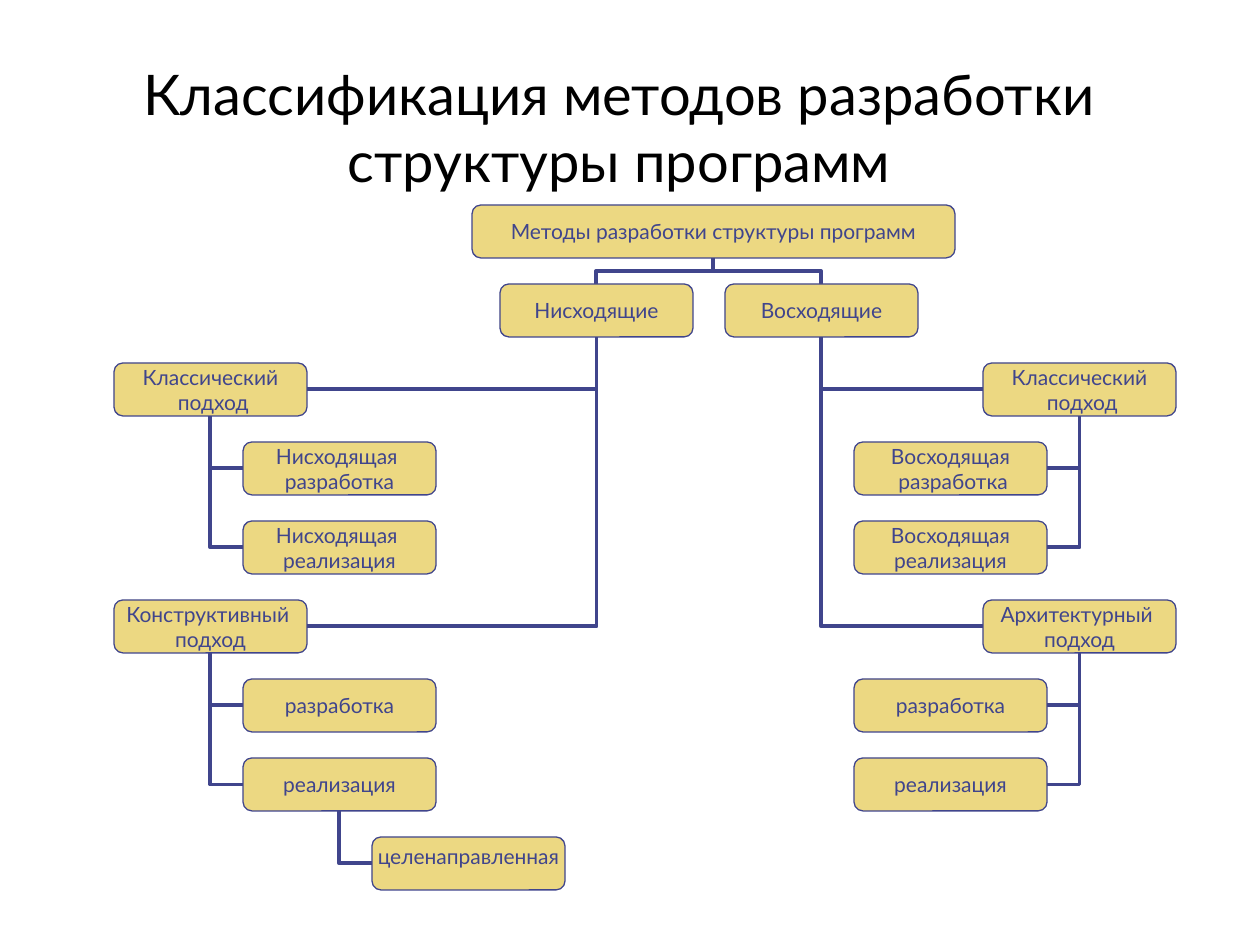
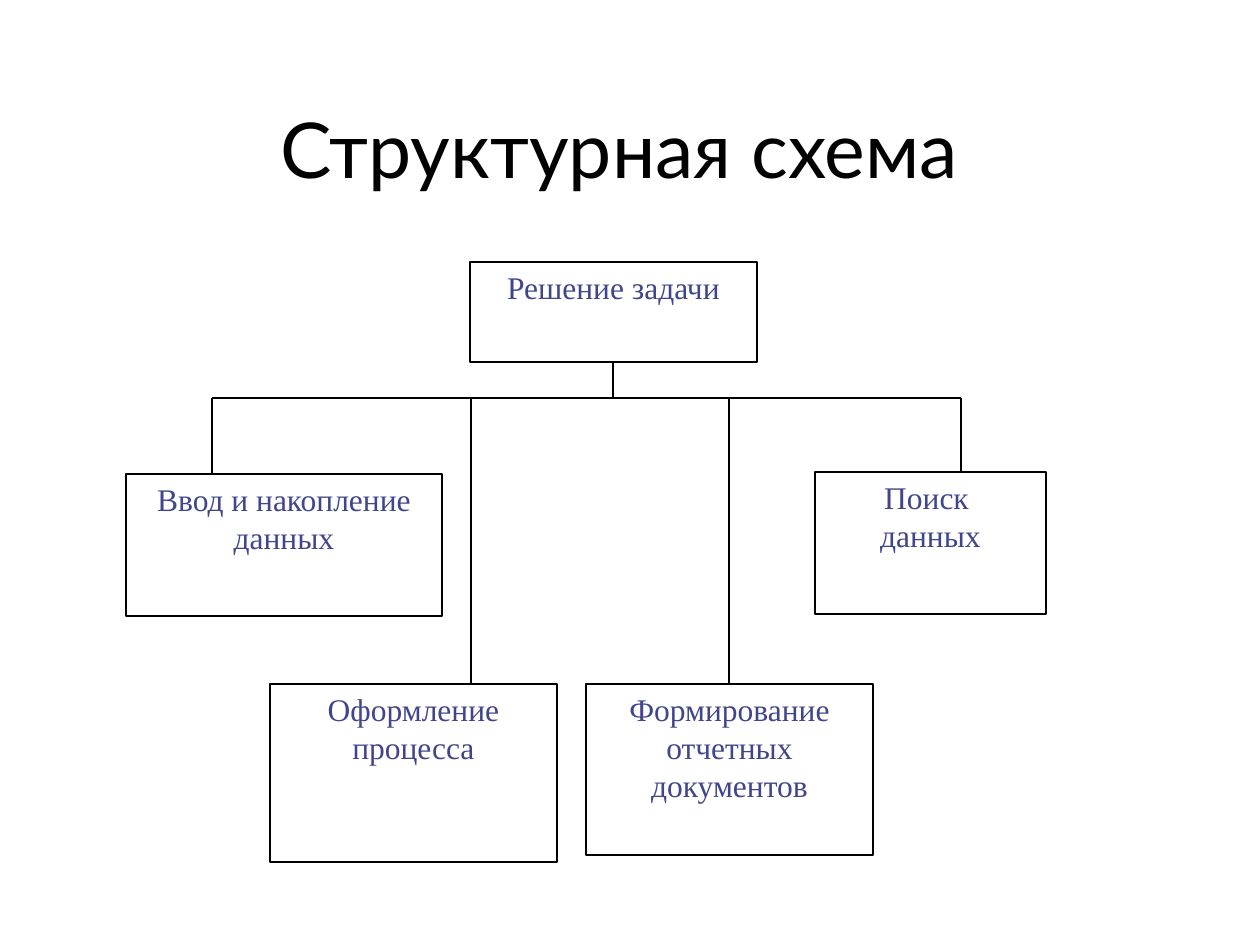
from dataclasses import dataclass

from lxml.etree import SubElement
from pptx import Presentation
from pptx.dml.color import RGBColor
from pptx.enum.shapes import MSO_CONNECTOR, MSO_SHAPE
from pptx.enum.text import MSO_ANCHOR, MSO_AUTO_SIZE, PP_ALIGN
from pptx.oxml.ns import qn
from pptx.util import Emu, Pt

EMU_PER_INCH = 914400
PX_PER_INCH = 126
TITLE_ONLY = 5
LEFT_SITE, BOTTOM_SITE, RIGHT_SITE = 1, 2, 3


@dataclass(frozen=True)
class Theme:
    black: str = "000000"
    white: str = "FFFFFF"
    indigo: str = "40458C"
    sand: str = "ECD882"
    sans: str = "Lato"
    serif: str = "Times New Roman"
    long_title: int = 32
    short_title: int = 44
    method_size: int = 12
    task_size: int = 18
    thin: float = 0.75
    thick: float = 2.25


@dataclass(frozen=True)
class Box:
    left: int
    top: int
    width: int
    height: int

    def inside(self, left, top, width, height):
        """Return a box given by its offset from this one."""
        return Box(self.left + left, self.top + top, width, height)

    def emu(self):
        return [px(n) for n in (self.left, self.top, self.width, self.height)]

    @property
    def center(self):
        return self.left + self.width // 2

    @property
    def bottom(self):
        return self.top + self.height


THEME = Theme()
PAGE = Box(0, 0, 1260, 945)
TITLE_BOX = Box(84, 42, 1071, 158)
METHODS_BOX = Box(114, 205, 1062, 684)
TASKS_BOX = Box(126, 262, 920, 600)

NODE_WIDTH, NODE_HEIGHT = 193, 53
ROW_STEP, INDENT = 79, 129

ROOT_METHOD = "Методы разработки структуры программ"
DIRECTIONS = {"Нисходящие": 386, "Восходящие": 611}
# Each branch: side, first row, direction, heading, children
BRANCHES = [
    ("left", 2, "Нисходящие", "Классический\n подход",
     ["Нисходящая \nразработка", "Нисходящая \nреализация"]),
    ("left", 5, "Нисходящие", "Конструктивный \nподход",
     ["разработка", "реализация"]),
    ("right", 2, "Восходящие", "Классический\n подход",
     ["Восходящая\n разработка", "Восходящая\nреализация"]),
    ("right", 5, "Восходящие", "Архитектурный \nподход",
     ["разработка", "реализация"]),
]

ROOT_TASK = ("Решение задачи", (344, 0, 287, 100))
# Each task: text, place, x of the line that drops to it
TASKS = [
    ("Ввод и накопление данных", (0, 212, 316, 142), 86),
    ("Оформление процесса", (144, 422, 287, 178), 345),
    ("Формирование отчетных документов", (460, 422, 287, 171), 603),
    ("Поиск \nданных", (689, 210, 231, 142), 835),
]
BUS_OFFSET = 136


def px(length):
    return Emu(round(length * EMU_PER_INCH / PX_PER_INCH))


def write(frame, text, *, font, size, color, anchor, wrap=True, insets=None):
    """Fill a text frame with centred text, one paragraph a line."""
    frame.auto_size = MSO_AUTO_SIZE.NONE
    frame.word_wrap = wrap
    frame.vertical_anchor = anchor
    if insets:
        (frame.margin_left, frame.margin_top,
         frame.margin_right, frame.margin_bottom) = map(px, insets)
    for index, line in enumerate(text.split("\n")):
        para = frame.add_paragraph() if index else frame.paragraphs[0]
        para.alignment = PP_ALIGN.CENTER
        span = para.add_run()
        span.text = line
        span.font.name = font
        span.font.size = Pt(size)
        span.font.color.rgb = RGBColor.from_string(color)


def add_page(deck, title, size):
    page = deck.slides.add_slide(deck.slide_layouts[TITLE_ONLY])
    holder = page.shapes.title
    holder.left, holder.top, holder.width, holder.height = TITLE_BOX.emu()
    write(holder.text_frame, title, font=THEME.sans, size=size,
          color=THEME.black, anchor=MSO_ANCHOR.BOTTOM)
    return page


def add_panel(page, kind, box, fill, line):
    panel = page.shapes.add_shape(kind, *box.emu())
    panel.shadow.inherit = False
    panel.fill.solid()
    panel.fill.fore_color.rgb = RGBColor.from_string(fill)
    panel.line.color.rgb = RGBColor.from_string(line)
    panel.line.width = Pt(THEME.thin)
    return panel


def add_line(page, start, end, color, width, bent=False):
    """Draw a line; a bent one runs across first, then up or down."""
    kind = MSO_CONNECTOR.ELBOW if bent else MSO_CONNECTOR.STRAIGHT
    line = page.shapes.add_connector(kind, *map(px, start + end))
    line.line.color.rgb = RGBColor.from_string(color)
    line.line.width = Pt(width)
    properties = line.element.spPr
    if bent:
        properties.find(qn("a:prstGeom")).set("prst", "bentConnector2")
    SubElement(properties, qn("a:effectLst"))
    return line


def add_method(page, text, box, anchor=MSO_ANCHOR.MIDDLE, top_inset=0):
    node = add_panel(page, MSO_SHAPE.ROUNDED_RECTANGLE, box,
                     THEME.sand, THEME.indigo)
    write(node.text_frame, text, font=THEME.sans, size=THEME.method_size,
          color=THEME.indigo, anchor=anchor, wrap=False,
          insets=(0, top_inset, 0, 0))
    return node


def join_methods(page, child, parent):
    """Glue the child's nearer side to the foot of its parent."""
    site = LEFT_SITE if child.left > parent.left else RIGHT_SITE
    link = add_line(page, (0, 0), (0, 0), THEME.indigo, THEME.thick, bent=True)
    link.begin_connect(child, site)
    link.end_connect(parent, BOTTOM_SITE)


def draw_methods(page, box):
    def cell(left, row):
        return box.inside(left, row * ROW_STEP, NODE_WIDTH, NODE_HEIGHT)

    root = box.inside(358, 0, 483, NODE_HEIGHT)
    bus = root.bottom + (ROW_STEP - NODE_HEIGHT) // 2
    add_line(page, (root.center, root.bottom), (root.center, bus),
             THEME.indigo, THEME.thick)
    add_method(page, ROOT_METHOD, root)

    directions = {}
    for name, left in DIRECTIONS.items():
        place = cell(left, 1)
        add_line(page, (root.center, bus), (place.center, place.top),
                 THEME.indigo, THEME.thick, bent=True)
        directions[name] = add_method(page, name, place)

    for side, row, direction, heading, children in BRANCHES:
        left, step = ((0, INDENT) if side == "left"
                      else (box.width - NODE_WIDTH, -INDENT))
        head = add_method(page, heading, cell(left, row))
        join_methods(page, head, directions[direction])
        for child_row, text in enumerate(children, row + 1):
            child = add_method(page, text, cell(left + step, child_row))
            join_methods(page, child, head)
        if heading.startswith("Конструктивный"):
            goal = add_method(page, "целенаправленная",
                              cell(2 * INDENT, row + 3),
                              anchor=MSO_ANCHOR.TOP, top_inset=4)
            join_methods(page, goal, child)


def add_task(page, text, box):
    panel = add_panel(page, MSO_SHAPE.RECTANGLE, box, THEME.white, THEME.black)
    write(panel.text_frame, text, font=THEME.serif, size=THEME.task_size,
          color=THEME.indigo, anchor=MSO_ANCHOR.TOP)


def draw_tasks(page, box):
    text, place = ROOT_TASK
    root = box.inside(*place)
    add_task(page, text, root)
    bus = box.top + BUS_OFFSET
    ends = [box.left + drop for _, _, drop in TASKS]
    lines = [((root.center, root.bottom), (root.center, bus)),
             ((min(ends), bus), (max(ends), bus))]
    for (text, place, _), x in zip(TASKS, ends):
        task = box.inside(*place)
        add_task(page, text, task)
        lines.append(((x, bus), (x, task.top)))
    for start, end in lines:
        add_line(page, start, end, THEME.black, THEME.thin)


def main():
    deck = Presentation()
    deck.slide_width, deck.slide_height = px(PAGE.width), px(PAGE.height)
    draw_methods(add_page(deck, "Классификация методов разработки структуры программ",
                          THEME.long_title), METHODS_BOX)
    draw_tasks(add_page(deck, "Структурная схема", THEME.short_title), TASKS_BOX)
    deck.save("out.pptx")


if __name__ == "__main__":
    main()
